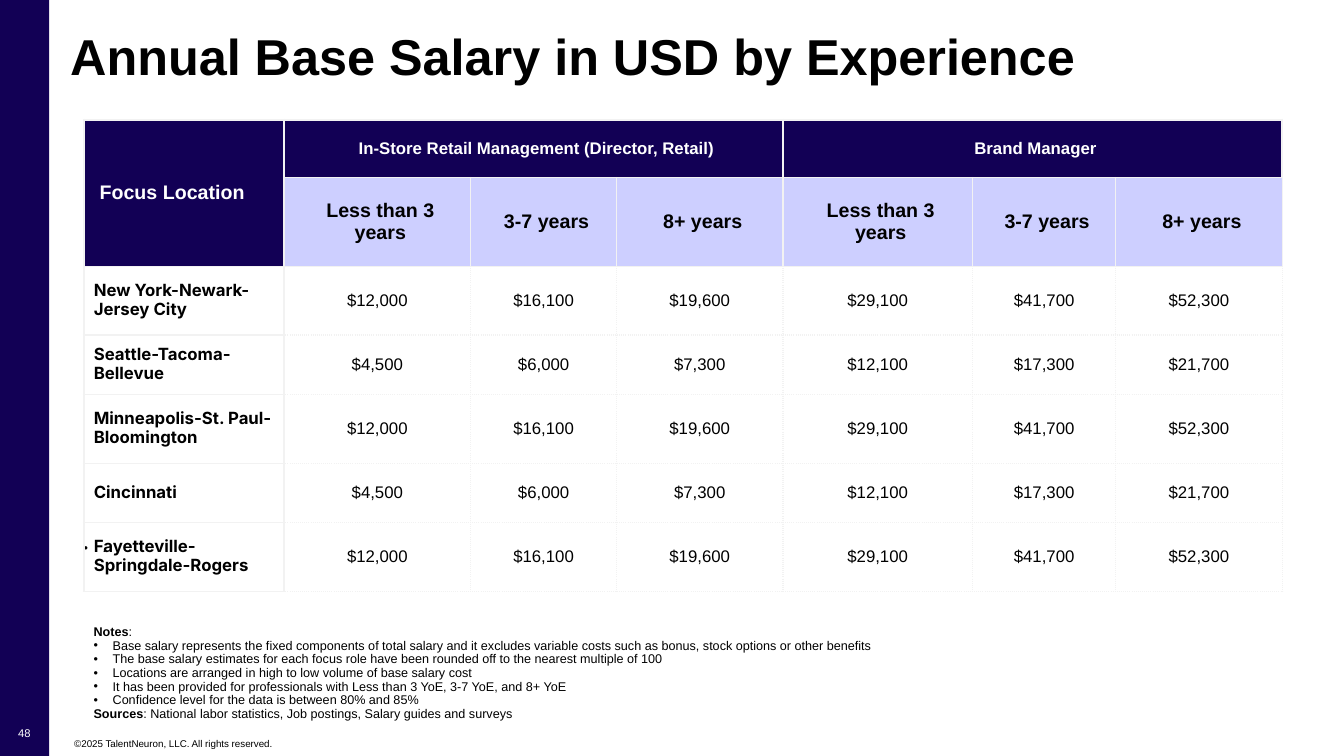
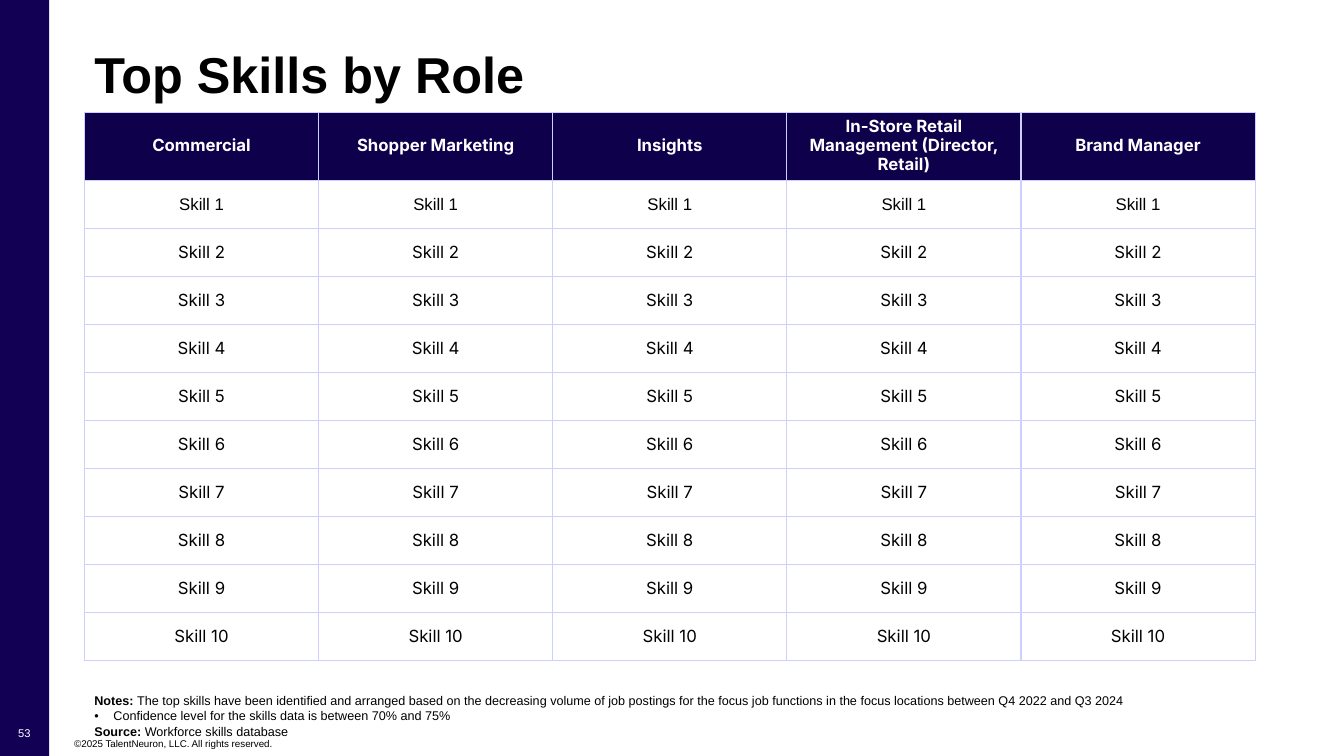
from lxml.etree import SubElement
from pptx import Presentation
from pptx.dml.color import RGBColor
from pptx.enum.shapes import MSO_SHAPE
from pptx.enum.text import MSO_ANCHOR, PP_ALIGN
from pptx.oxml.ns import qn
from pptx.util import Cm, Pt

COLORS = {
    "band": "120055",
    "skill_header": "0F004B",
    "lavender": "CDCFFF",
    "grid": "F2F2F2",
    "text": "000000",
    "white": "FFFFFF",
}
WIDTH, HEIGHT = 33.87, 19.05
BAND_WIDTH = 1.24
COPYRIGHT = "©2025 TalentNeuron, LLC. All rights reserved."

# Salary slide
EXPERIENCE = ["Less than 3 years", "3-7 years", "8+ years"]
SALARY_ROLES = ["In-Store Retail Management (Director, Retail)", "Brand Manager"]
HIGH_PAY = ["$12,000", "$16,100", "$19,600", "$29,100", "$41,700", "$52,300"]
LOW_PAY = ["$4,500", "$6,000", "$7,300", "$12,100", "$17,300", "$21,700"]
SALARIES = [
    ("New York-Newark-Jersey City", HIGH_PAY),
    ("Seattle-Tacoma-Bellevue", LOW_PAY),
    ("Minneapolis-St. Paul-Bloomington", HIGH_PAY),
    ("Cincinnati", LOW_PAY),
    ("Fayetteville-Springdale-Rogers", HIGH_PAY),
]
SALARY_COLUMNS = [5.05, 4.7, 3.68, 4.19, 4.78, 3.61, 4.19]
SALARY_ROWS = [1.45, 2.24, 1.73, 1.5, 1.73, 1.5, 1.73]

# A note is (bold lead, plain rest, bulleted)
SALARY_NOTES = [
    ("Notes", ":", False),
    ("", "Base salary represents the fixed components of total salary and it excludes "
         "variable costs such as bonus, stock options or other benefits", True),
    ("", "The base salary estimates for each focus role have been rounded off to the "
         "nearest multiple of 100", True),
    ("", "Locations are arranged in high to low volume of base salary cost", True),
    ("", "It has been provided for professionals with Less than 3 YoE, 3-7 YoE, "
         "and 8+ YoE", True),
    ("", "Confidence level for the data is between 80% and 85%", True),
    ("Sources", ": National labor statistics, Job postings, Salary guides and surveys", False),
]

# Skills slide
SKILL_ROLES = ["Commercial", "Shopper Marketing", "Insights", *SALARY_ROLES]
SKILL_COUNT = 10
SKILL_COLUMN, SKILL_HEADER_ROW, SKILL_ROW = 5.9, 1.7, 1.21
SKILL_NOTES = [
    ("Notes: ", "The top skills have been identified and arranged based on the decreasing "
                "volume of job postings for the focus job functions in the focus locations "
                "between Q4 2022 and Q3 2024", False),
    ("", "Confidence level for the skills data is between 70% and 75%", True),
    ("Source: ", "Workforce skills database", False),
]


def rgb(name):
    return RGBColor.from_string(COLORS[name])


def write(frame, content, size=12, color="text", font="Arial", bold=False,
          align=PP_ALIGN.LEFT, line_spacing=None, space_before=0, indent=0):
    """Fill a frame with one string, or with a list of notes."""
    notes = [("", content, False)] if isinstance(content, str) else content
    for index, (lead, rest, bulleted) in enumerate(notes):
        paragraph = frame.add_paragraph() if index else frame.paragraphs[0]
        paragraph.alignment = align
        properties = paragraph._p.get_or_add_pPr()
        if bulleted:
            properties.set("marL", str(Cm(0.48)))
            properties.set("indent", str(-Cm(0.48)))
            SubElement(properties, qn("a:buFont"), typeface="Arial")
            SubElement(properties, qn("a:buChar"), char="•")
        elif indent:
            properties.set("marL", str(Cm(indent)))
        if line_spacing:
            paragraph.line_spacing = line_spacing
        if index and space_before:
            paragraph.space_before = Pt(space_before)
        for text, is_bold in ((lead, True), (rest, bold)):
            if text:
                run = paragraph.add_run()
                run.text = text
                run.font.size, run.font.name, run.font.bold = Pt(size), font, is_bold
                run.font.color.rgb = rgb(color)


def add_text(slide, box, content, anchor=MSO_ANCHOR.MIDDLE, inset=True, **style):
    frame = slide.shapes.add_textbox(*map(Cm, box)).text_frame
    frame.word_wrap = True
    frame.vertical_anchor = anchor
    if not inset:
        frame.margin_left = frame.margin_right = frame.margin_top = frame.margin_bottom = 0
    write(frame, content, **style)


def add_notes(slide, box, notes, **style):
    add_text(slide, box, notes, size=9, line_spacing=0.9, **style)


def new_slide(deck, title, title_box, number):
    """Add a slide with the side band, copyright line, title and page number."""
    slide = deck.slides.add_slide(deck.slide_layouts[6])
    band = slide.shapes.add_shape(MSO_SHAPE.RECTANGLE, 0, 0, Cm(BAND_WIDTH), Cm(HEIGHT))
    band.shadow.inherit = False
    band.fill.solid()
    band.fill.fore_color.rgb = rgb("band")
    band.line.fill.background()
    add_text(slide, (1.87, 18.59, 20.3, 0.3), COPYRIGHT, MSO_ANCHOR.BOTTOM, inset=False, size=7)
    add_text(slide, title_box, title, size=36, bold=True, line_spacing=0.9)
    add_text(slide, (0.13, 18.06, 0.97, 0.84), number, size=8, color="white",
             align=PP_ALIGN.CENTER)
    return slide


def add_grid(slide, left, top, columns, rows):
    table = slide.shapes.add_table(len(rows), len(columns), Cm(left), Cm(top),
                                   Cm(sum(columns)), Cm(sum(rows))).table
    table.first_row = table.horz_banding = False
    for column, width in zip(table.columns, columns):
        column.width = Cm(width)
    for row, height in zip(table.rows, rows):
        row.height = Cm(height)
    return table


def format_cell(cell, line_color, widths=(1, 1, 1, 1), dotted="", fill=None, margin=None):
    """Set borders (widths in the order L, R, T, B), fill and margins."""
    properties = cell._tc.get_or_add_tcPr()
    for side, width in zip("LRTB", widths):
        line = SubElement(properties, qn(f"a:ln{side}"), w=str(Pt(width)))
        paint = SubElement(line, qn("a:solidFill"))
        SubElement(paint, qn("a:srgbClr"), val=COLORS[line_color])
        SubElement(line, qn("a:prstDash"), val="sysDot" if side in dotted else "solid")
    if fill:
        cell.fill.solid()
        cell.fill.fore_color.rgb = rgb(fill)
    else:
        cell.fill.background()
    cell.vertical_anchor = MSO_ANCHOR.MIDDLE
    if margin is not None:
        cell.margin_left = cell.margin_right = Cm(margin)
        cell.margin_top = cell.margin_bottom = Cm(margin)


def format_salary_cell(cell, row, column):
    left = 1.5 if column <= 1 else 1
    if row == 0 or (row == 1 and column == 0):
        format_cell(cell, "grid", (1.5, 1.5, 1.5, 1), fill="band", margin=0.25)
    elif row == 1:
        format_cell(cell, "grid", (left, 1, 1, 1), fill="lavender", margin=0.25)
    elif column == 0:
        format_cell(cell, "grid", (1.5, 1.5, 1, 1))
    else:
        dotted = "RB" + ("L" if column > 1 else "") + ("T" if row > 2 else "")
        format_cell(cell, "grid", (left, 1, 1, 1), dotted, margin=0.02)


def add_salary_table(slide):
    table = add_grid(slide, 2.11, 3.02, SALARY_COLUMNS, SALARY_ROWS)
    for row in range(len(SALARY_ROWS)):
        for column in range(len(SALARY_COLUMNS)):
            format_salary_cell(table.cell(row, column), row, column)

    heading = {"bold": True, "indent": 0.15}
    centered = {"align": PP_ALIGN.CENTER}
    table.cell(0, 0).merge(table.cell(1, 0))
    write(table.cell(0, 0).text_frame, "Focus Location", size=14, color="white", **heading)
    span = len(EXPERIENCE)
    for index, role in enumerate(SALARY_ROLES):
        first = 1 + index * span
        table.cell(0, first).merge(table.cell(0, first + span - 1))
        write(table.cell(0, first).text_frame, role, color="white", **heading, **centered)
        for column, level in enumerate(EXPERIENCE, first):
            write(table.cell(1, column).text_frame, level, size=14, **heading, **centered)
    for row, (location, salaries) in enumerate(SALARIES, 2):
        write(table.cell(row, 0).text_frame, location, font="Inter", bold=True,
              line_spacing=Pt(13.5))
        for column, salary in enumerate(salaries, 1):
            write(table.cell(row, column).text_frame, salary, **centered)


def add_skill_table(slide):
    table = add_grid(slide, 2.13, 2.84, [SKILL_COLUMN] * len(SKILL_ROLES),
                     [SKILL_HEADER_ROW] + [SKILL_ROW] * SKILL_COUNT)
    for column, role in enumerate(SKILL_ROLES):
        header = table.cell(0, column)
        format_cell(header, "lavender", fill="skill_header")
        write(header.text_frame, role, color="white", font="Inter", bold=True,
              align=PP_ALIGN.CENTER, line_spacing=Pt(13.5))
        for rank in range(1, SKILL_COUNT + 1):
            skill = table.cell(rank, column)
            format_cell(skill, "lavender", margin=0)
            write(skill.text_frame, f"Skill {rank}", font="Arial" if rank == 1 else "Inter",
                  align=PP_ALIGN.CENTER)


def main():
    deck = Presentation()
    deck.slide_width, deck.slide_height = Cm(WIDTH), Cm(HEIGHT)

    salary = new_slide(deck, "Annual Base Salary in USD by Experience",
                       (1.52, 0.58, 31.8, 1.8), "48")
    add_notes(salary, (2.11, 15.65, 30.7, 2.64), SALARY_NOTES)
    add_text(salary, (2.11, 13.61, 29.6, 0.5), [("", ".", True)], MSO_ANCHOR.TOP,
             inset=False, size=9, font="Inter")
    add_salary_table(salary)

    skills = new_slide(deck, "Top Skills by Role", (2.13, 1.04, 30.7, 1.8), "53")
    add_skill_table(skills)
    add_notes(skills, (2.13, 17.39, 30.7, 1.4), SKILL_NOTES, anchor=MSO_ANCHOR.TOP,
              space_before=1)

    deck.save("out.pptx")


if __name__ == "__main__":
    main()
